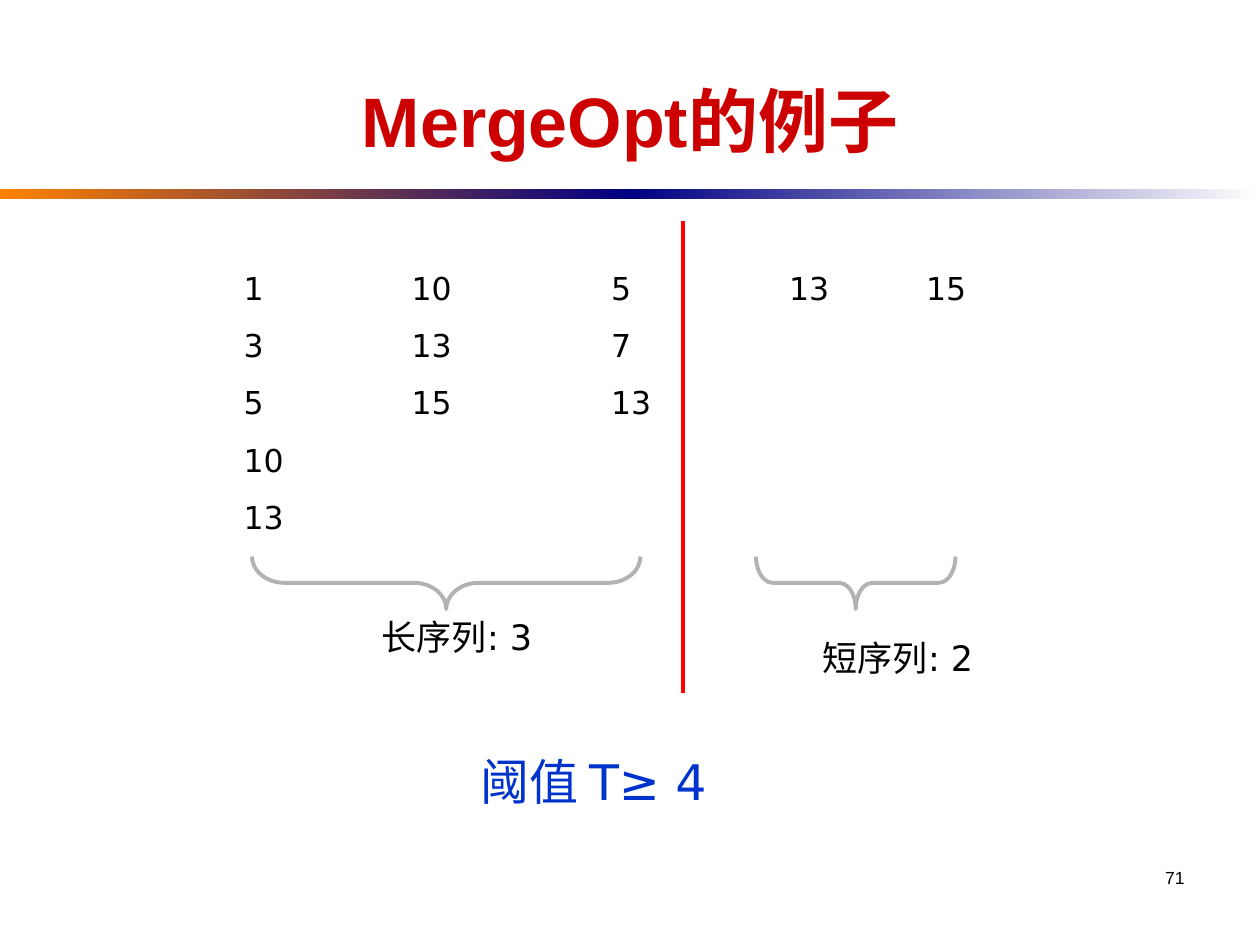
from lxml import etree
from pptx import Presentation
from pptx.dml.color import RGBColor
from pptx.enum import shapes, text
from pptx.oxml.ns import qn
from pptx.util import Cm, Pt

BLACK = RGBColor(0x00, 0x00, 0x00)
WHITE = RGBColor(0xFF, 0xFF, 0xFF)
CRIMSON = RGBColor(0xCC, 0x00, 0x00)
RED = RGBColor(0xFF, 0x00, 0x00)
BLUE = RGBColor(0x00, 0x33, 0xCC)
NAVY = RGBColor(0x00, 0x00, 0x82)
ORANGE = RGBColor(0xFF, 0x82, 0x00)
GRAY = RGBColor(0xB2, 0xB2, 0xB2)
LEFT, CENTER, RIGHT = text.PP_ALIGN.LEFT, text.PP_ALIGN.CENTER, text.PP_ALIGN.RIGHT
TOP, BOTTOM = text.MSO_ANCHOR.TOP, text.MSO_ANCHOR.BOTTOM


def add_text(s, lines, left, top, width, height, size=18, font="DejaVu Sans",
             color=BLACK, bold=False, align=LEFT, anchor=TOP, gap=0):
    sp = s.shapes.add_textbox(Cm(left), Cm(top), Cm(width), Cm(height))
    tf = sp.text_frame
    tf.word_wrap = True
    tf.vertical_anchor = anchor
    for i, line in enumerate(lines):
        p = tf.paragraphs[0] if i == 0 else tf.add_paragraph()
        p.alignment = align
        if i:
            p.space_before = Pt(gap)
        r = p.add_run()
        r.text = line
        r.font.size = Pt(size)
        r.font.name = font
        r.font.bold = bold
        r.font.color.rgb = color


def add_header(s, title, left, top, width):
    half = width / 2
    for i, colors in enumerate([(ORANGE, NAVY), (NAVY, WHITE)]):
        sp = s.shapes.add_shape(shapes.MSO_SHAPE.RECTANGLE, Cm(left + i * half),
                                Cm(top + 3.81), Cm(half), Cm(0.2))
        sp.shadow.inherit = False
        sp.line.fill.background()
        sp.fill.gradient()
        sp.fill.gradient_angle = 0
        for stop, color, position in zip(sp.fill.gradient_stops, colors, (0, 1)):
            stop.color.rgb = color
            stop.position = position
    add_text(s, [title], left + 1.27, top + 0.64, width - 2.54, 2.74, size=40,
             font="Arial", color=CRIMSON, bold=True, align=CENTER, anchor=BOTTOM)


def add_brace(s, left, top, width, height):
    sp = s.shapes.add_shape(shapes.MSO_SHAPE.RIGHT_BRACE,
                            Cm(left + (width - height) / 2),
                            Cm(top + (height - width) / 2), Cm(height), Cm(width))
    sp.rotation = 90
    sp.adjustments[0] = width / 12 / height
    sp.shadow.inherit = False
    sp.fill.background()
    sp.line.color.rgb = GRAY
    sp.line.width = Pt(2.25)


def add_sequences(s, left, top, width, columns, brace_left, brace_width, label, label_top):
    for x, column_width, values in columns:
        add_text(s, values, left + x, top, column_width, 0.23 + 1.15 * len(values) - 0.4,
                 gap=11.2)
    add_brace(s, left + brace_left, top + 5.93, brace_width, 1.06)
    add_text(s, [label], left, top + label_top, width, 1.12, size=20, align=CENTER)


def add_divider(s, x, top, height):
    line = s.shapes.add_connector(shapes.MSO_CONNECTOR.STRAIGHT, Cm(x), Cm(top),
                                  Cm(x), Cm(top + height))
    line.line.color.rgb = RED
    line.line.width = Pt(2.25)
    etree.SubElement(line._element.spPr, qn("a:effectLst"))


def main():
    prs = Presentation()
    prs.slide_width, prs.slide_height = Cm(25.4), Cm(19.05)
    s = prs.slides.add_slide(prs.slide_layouts[6])
    add_header(s, "MergeOpt的例子", 0, 0, 25.4)
    add_sequences(s, 4.45, 5.29, 9.53,
                  [(0.21, 1.7, ["1", "3", "5", "10", "13"]),
                   (3.6, 1.48, ["10", "13", "15"]),
                   (7.62, 2.12, ["5", "7", "13"])],
                  0.63, 7.83, "长序列: 3", 6.99)
    add_sequences(s, 13.34, 5.29, 9.53,
                  [(2.32, 2.12, ["13"]), (5.08, 2.12, ["15"])],
                  1.9, 4.02, "短序列: 2", 7.41)
    add_divider(s, 13.76, 4.45, 9.52)
    add_text(s, ["阈值 T≥ 4"], 3.39, 15.03, 17.15, 1.45, size=28, color=BLUE, align=CENTER)
    add_text(s, ["71"], 18.2, 17.36, 5.93, 1.27, size=10, font="Arial", align=RIGHT)
    prs.save("out.pptx")


if __name__ == "__main__":
    main()
